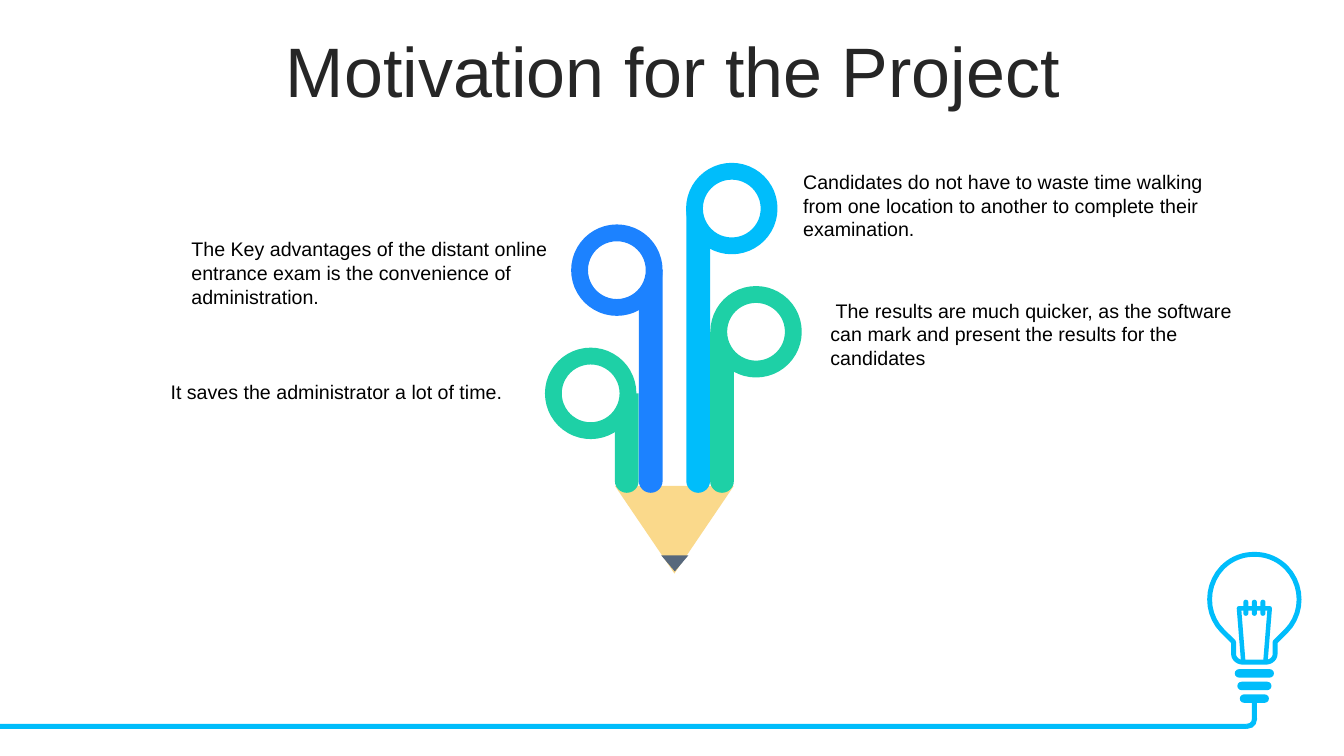
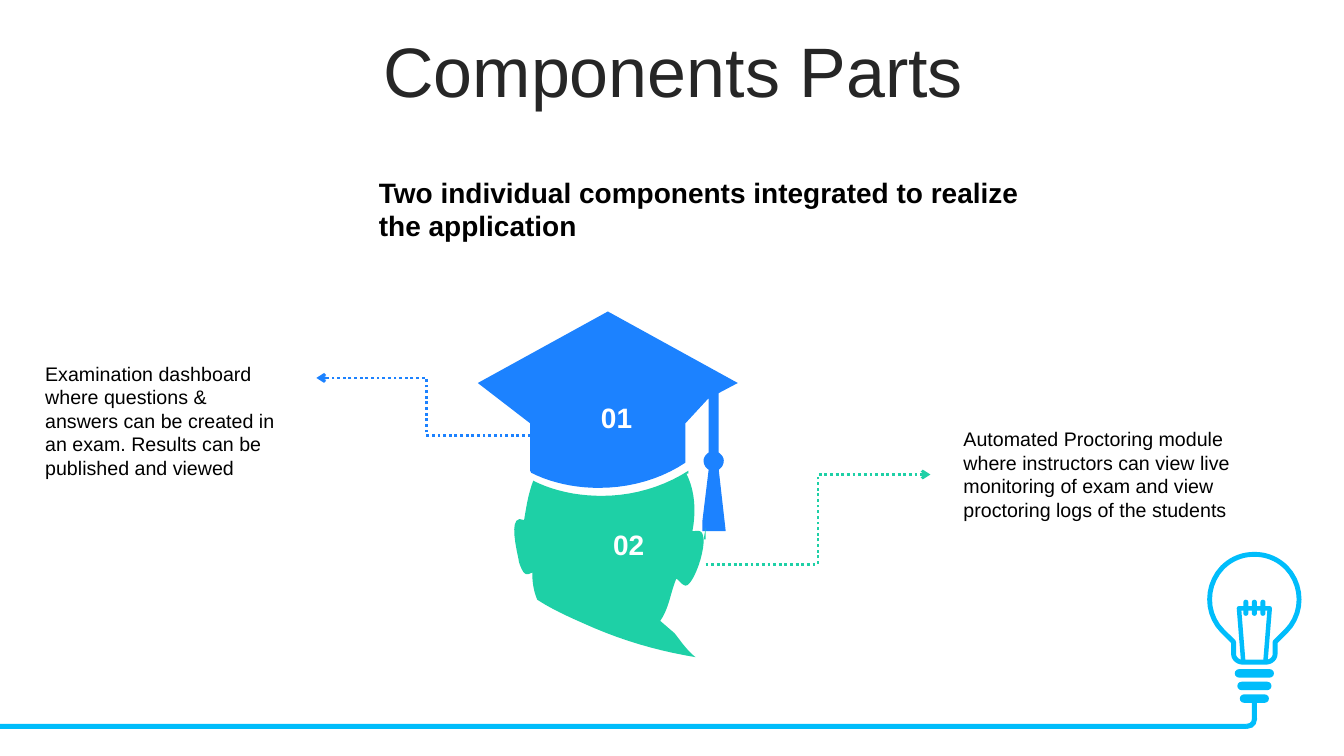
"""Builds two slides on an online exam project."""
import pptx
import pptx.dml.color
import pptx.enum.dml
import pptx.enum.shapes
import pptx.enum.text
import pptx.oxml.ns
import pptx.util
from lxml import etree

Pt = pptx.util.Pt
KIND = pptx.enum.shapes.MSO_SHAPE
ANCHOR = pptx.enum.text.MSO_ANCHOR
ALIGN = pptx.enum.text.PP_ALIGN

FONT = "Arial"
BLACK, DARK, WHITE = "000000", "262626", "FFFFFF"
SKY, BLUE, GREEN = "00BDFB", "1C82FF", "1ED0A6"
WOOD, LEAD = "FAD98B", "57687C"

BULB_X = 896
BULB = [
    (0, 396), (8.5, 396, 16.4, 399, 22.8, 405.4),
    (35, 418, 35, 438.5, 22.8, 450.7), (14.8, 458.6), (14.8, 467.3),
    (14.8, 470.2, 12, 473, 8.4, 473),
]
CAP = [
    (434.2, 222.5), (527, 273.6), (513.4, 280.8), (513.4, 323.3),
    (515.5, 324.7, 517, 326.9, 517, 329),
    (517, 331.9, 515.5, 334.1, 513.4, 335.5),
    (518.4, 379.4), (501.8, 379.4), (501.8, 371.5), (506.2, 335.5),
    (504, 334.1, 502.6, 331.9, 502.6, 329),
    (502.6, 326.9, 504, 324.7, 506.2, 323.3),
    (506.2, 284.4), (489.6, 302.4), (489.6, 330.5),
    (472.3, 342, 450.7, 348.5, 427.7, 348.5),
    (410.4, 348.5, 393.8, 344.9, 379.4, 337.7),
    (378.7, 336.2), (378.7, 302.4), (341.3, 273.6),
]
HEAD = [
    (491.8, 336.2), (491.8, 338.4), (490.3, 338.4),
    (496.1, 349.9, 497.5, 364.3, 494.6, 379.4),
    (499, 379.4, 502.6, 377.3, 502.6, 387.4),
    (501.8, 400.3, 493.9, 419, 489.6, 418.3),
    (486.7, 417.6, 485.3, 414.7, 483.1, 413.3),
    (478.8, 423.4, 478.1, 434.2, 471.6, 443.5), (481.7, 452.2),
    (485.3, 456.5, 490.3, 464.4, 496.8, 469.4),
    (470.2, 465.1, 442.8, 457.2, 416.2, 445),
    (404.6, 439.9, 393.8, 434.9, 383.8, 428.4),
    (381.6, 423.4, 380.2, 416.9, 380.2, 409),
    (376.6, 410.4, 374.4, 412.6, 370.8, 401.8),
    (370.1, 396, 361.4, 365.8, 374.4, 371.5),
    (375.8, 362.9, 377.3, 352.8, 380.9, 343.4),
    (395.3, 350.6, 411.8, 354.2, 429.8, 354.2),
    (452.2, 354.2, 473.8, 347.8, 491.8, 336.2),
]
EAR = [(504, 377.3), (504, 385.2), (502.6, 385.2)]


def color(code):
    """Turn a hex string into a colour."""
    return pptx.dml.color.RGBColor.from_string(code)


def paint(shape, fill=None, edge=None, width=0):
    """Set the fill and outline of a shape."""
    shape.shadow.inherit = False
    if fill:
        shape.fill.solid()
        shape.fill.fore_color.rgb = color(fill)
    else:
        shape.fill.background()
    if edge:
        shape.line.color.rgb = color(edge)
        shape.line.width = Pt(width)
    else:
        shape.line.fill.background()


def block(slide, kind, box, fill, edge=None, width=0, turn=0, adjust=()):
    """Add a preset shape."""
    shape = slide.shapes.add_shape(kind, *map(Pt, box))
    shape.rotation = turn
    for index, value in enumerate(adjust):
        shape.adjustments[index] = value
    paint(shape, fill, edge, width)
    return shape


def trace(path, steps=10):
    """Turn points and cubic curves into a list of points."""
    dots = [path[0]]
    for part in path[1:]:
        if len(part) == 2:
            dots.append(part)
            continue
        nodes = [dots[-1], part[:2], part[2:4], part[4:]]
        for step in range(1, steps + 1):
            t = step / steps
            mix = ((1 - t) ** 3, 3 * t * (1 - t) ** 2, 3 * t * t * (1 - t), t ** 3)
            dots.append(tuple(sum(m * n[axis] for m, n in zip(mix, nodes))
                              for axis in (0, 1)))
    return dots


def outline(slide, dots, fill=None, edge=None, width=0, close=True):
    """Add a freeform through the given points."""
    dots = [(Pt(x), Pt(y)) for x, y in dots]
    pen = slide.shapes.build_freeform(*dots[0])
    pen.add_line_segments(dots[1:], close=close)
    paint(pen.convert_to_shape(), fill, edge, width)


def style(para, size, tint, bold=False, align=ALIGN.LEFT):
    """Format a paragraph."""
    para.alignment = align
    para.font.name = FONT
    para.font.size = Pt(size)
    para.font.bold = bold
    para.font.color.rgb = color(tint)


def label(slide, box, text, size=14, tint=BLACK, bold=False,
          align=ALIGN.LEFT, anchor=ANCHOR.TOP):
    """Add a wrapped text box."""
    frame = slide.shapes.add_textbox(*map(Pt, box)).text_frame
    frame.word_wrap = True
    frame.vertical_anchor = anchor
    frame.text = text
    style(frame.paragraphs[0], size, tint, bold, align)


def arrow(slide, start, end, tint):
    """Add a dotted elbow arrow."""
    kind = pptx.enum.shapes.MSO_CONNECTOR.ELBOW
    link = slide.shapes.add_connector(kind, *map(Pt, start + end))
    link.line.color.rgb = color(tint)
    link.line.width = Pt(2)
    link.line.dash_style = pptx.enum.dml.MSO_LINE.ROUND_DOT
    name = pptx.oxml.ns.qn
    props = link.element.spPr
    etree.SubElement(props.find(name("a:ln")), name("a:tailEnd"), type="arrow")
    etree.SubElement(props, name("a:effectLst"))


def lamp(slide):
    """Draw the light bulb and its cable."""
    half = trace(BULB)
    dots = [(BULB_X + x, y) for x, y in half]
    dots += [(BULB_X - x, y) for x, y in reversed(half[1:])]
    outline(slide, dots, WHITE, SKY, 3.5)
    for row in range(3):
        wide = 28 - 3.6 * row
        block(slide, KIND.ROUNDED_RECTANGLE,
              (BULB_X - wide / 2, 478 + 9 * row, wide, 6), SKY, adjust=[0.5])
    frame = [(-8, 471.6), (-11, 434.5), (11, 434.5), (8, 471.6)]
    outline(slide, [(BULB_X + x, y) for x, y in frame],
            edge=SKY, width=3.2, close=False)
    for step in (-1, 0, 1):
        block(slide, KIND.ROUNDED_RECTANGLE,
              (BULB_X + 6.1 * step - 1.8, 428.4, 3.6, 11.5), SKY, adjust=[0.5])
    block(slide, KIND.RECTANGLE, (0, 517, 890.6, 3.6), SKY)
    block(slide, KIND.RECTANGLE, (894.2, 501.8, 3.6, 12.2), SKY)
    block(slide, KIND.BLOCK_ARC, (884.2, 506.9, 13.7, 13.7), SKY,
          adjust=[213.39, 60.92, 0.27])


def dress(layout, slide):
    """Give the layout its title place and the shared bulb."""
    for holder in list(layout.placeholders):
        if holder.placeholder_format.idx:
            holder.element.getparent().remove(holder.element)
            continue
        holder.left, holder.top, holder.width, holder.height = map(
            Pt, (25.2, 26.6, 911.5, 56.9))
    lamp(slide)
    for shape in list(slide.shapes):
        if not shape.is_placeholder:
            layout.shapes.element.append(shape.element)


def head(slide, text):
    """Fill and format the title."""
    frame = slide.shapes.title.text_frame
    frame.text = text
    frame.auto_size = pptx.enum.text.MSO_AUTO_SIZE.NONE
    frame.vertical_anchor = ANCHOR.MIDDLE
    para = frame.paragraphs[0]
    para.line_spacing = 0.8
    style(para, 50, DARK, align=ALIGN.CENTER)


def pencil(slide):
    """Draw the pencil made of four ringed bars."""
    block(slide, KIND.TRAPEZOID, (439.2, 347, 85, 62.7), WOOD,
          turn=180, adjust=[0.79])
    block(slide, KIND.ISOSCELES_TRIANGLE, (472.3, 396.7, 19.4, 11.5), LEAD, turn=180)
    base, ring = 352, 53.3
    bars = [(439.2, 281, 395.3, GREEN), (456.3, 193, 414, BLUE),
            (490.2, 149, 496.1, SKY), (507.2, 237, 513.4, GREEN)]
    for left, top, side, tint in bars:
        block(slide, KIND.ROUND_2_SAME_RECTANGLE, (left, top, 17, base - top),
              tint, turn=180, adjust=[0.5, 0])
        block(slide, KIND.OVAL, (side, top - ring / 2, ring, ring), WHITE, tint, 12)


def motive(slide):
    """Build the motivation slide."""
    head(slide, "Motivation for the Project")
    pencil(slide)
    notes = [
        (566.6, 117.4, 58.3, "Candidates do not have to waste time walking from one "
         "location to another to complete their examination."),
        (586.1, 209.5, 58.3, " The results are much quicker, as the software can mark "
         "and present the results for the candidates"),
        (129.6, 165.6, 58.3, "The Key advantages of the distant online entrance exam "
         "is the convenience of administration."),
        (110.9, 267.8, 24.5, " It saves the administrator a lot of time."),
    ]
    for left, top, high, text in notes:
        label(slide, (left, top, 303, high), text, anchor=ANCHOR.MIDDLE)


def parts(slide):
    """Build the components slide."""
    head(slide, "Components Parts")
    label(slide, (263.5, 121.7, 480, 55.4),
          "Two individual components integrated to realize the application",
          20, bold=True)
    label(slide, (25.2, 254.9, 184.3, 92),
          "Examination dashboard where questions & answers can be created in an exam. "
          "Results can be published and viewed")
    label(slide, (681.1, 301.7, 219.6, 75),
          "Automated Proctoring module where instructors can view live monitoring of "
          "exam and view proctoring logs of the students")
    arrow(slide, (383, 311), (226, 270), BLUE)
    outline(slide, trace(CAP), BLUE)
    for path in (EAR, HEAD):
        outline(slide, trace(path), GREEN)
    for left, top, text in ((411.8, 282.2, "01"), (420.5, 373, "02")):
        label(slide, (left, top, 46.8, 42.5), text, 20, WHITE, True, ALIGN.RIGHT)
    arrow(slide, (504, 403), (664.6, 339), GREEN)


def main():
    """Build and save the deck."""
    deck = pptx.Presentation()
    deck.slide_width, deck.slide_height = Pt(960), Pt(540)
    layout = deck.slide_layouts[5]
    first, second = [deck.slides.add_slide(layout) for _ in range(2)]
    dress(layout, first)
    motive(first)
    parts(second)
    deck.save("out.pptx")


if __name__ == "__main__":
    main()
